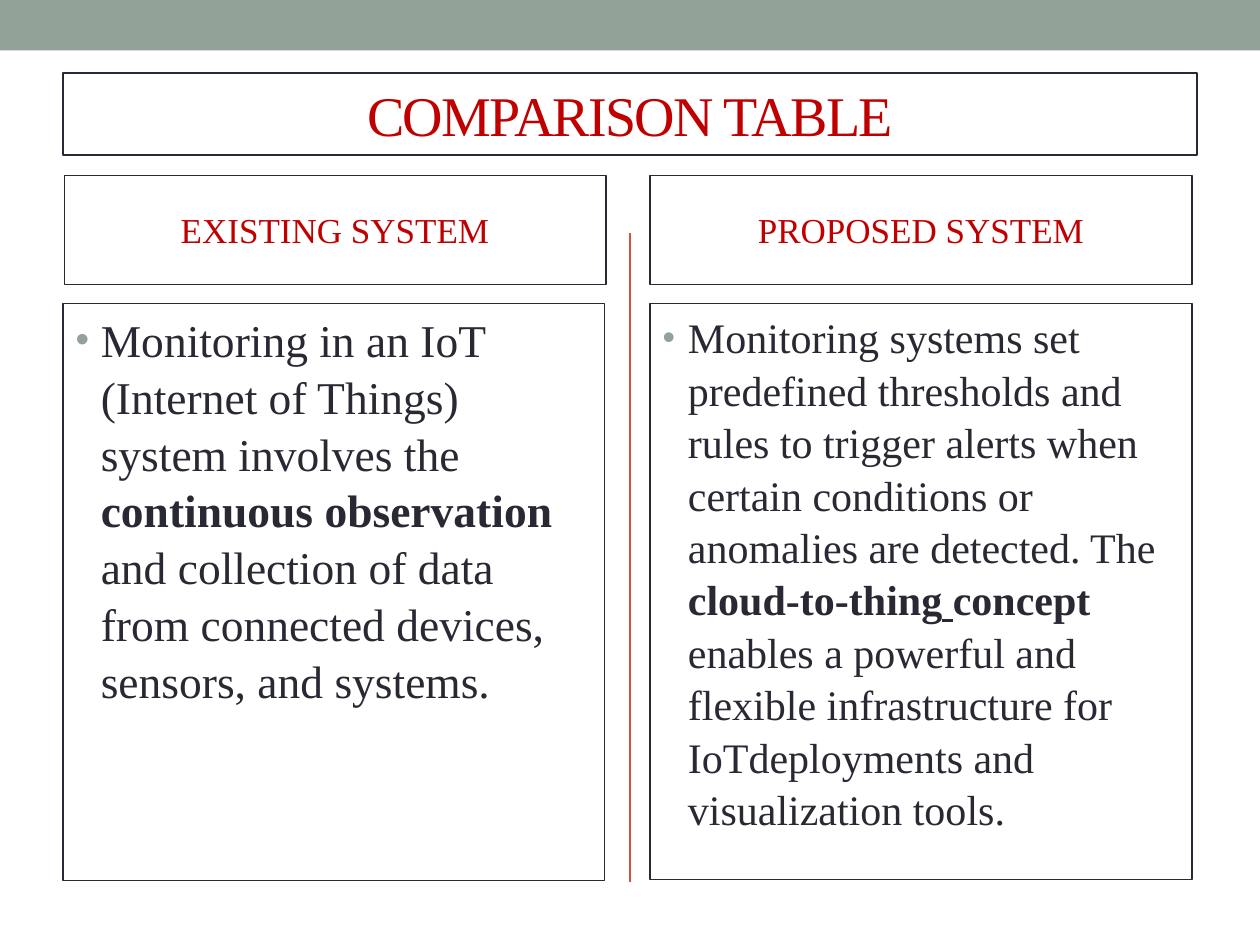
from lxml import etree
from pptx import Presentation
from pptx.dml.color import RGBColor
from pptx.enum.shapes import MSO_CONNECTOR, MSO_SHAPE
from pptx.enum.text import MSO_ANCHOR, MSO_AUTO_SIZE, PP_ALIGN
from pptx.oxml.ns import qn
from pptx.util import Inches, Pt

STRAIGHT, RECT = MSO_CONNECTOR.STRAIGHT, MSO_SHAPE.RECTANGLE
TOP, MIDDLE = MSO_ANCHOR.TOP, MSO_ANCHOR.MIDDLE
LEFT, CENTER = PP_ALIGN.LEFT, PP_ALIGN.CENTER
NO_FIT = MSO_AUTO_SIZE.NONE
SAGE = RGBColor(0x93, 0xA2, 0x99)
RUST = RGBColor(0xD2, 0x53, 0x3C)
INK = RGBColor(0x29, 0x29, 0x34)
RED = RGBColor(0xC0, 0x00, 0x00)
FONT = "Times New Roman"

TITLE = {"size": Pt(32), "color": RED, "anchor": MIDDLE, "align": CENTER}
HEADING = {"size": Pt(20), "color": RED, "anchor": MIDDLE, "align": CENTER}
LEFT_LIST = {"size": Pt(26), "color": INK, "anchor": TOP, "align": LEFT}
RIGHT_LIST = {**LEFT_LIST, "size": Pt(24)}
PLAIN = {"bold": False, "underline": False}
BOLD = {"bold": True, "underline": False}
BOLD_LINE = {"bold": True, "underline": True}
PLAIN_LINE = {"bold": False, "underline": True}

prs = Presentation()
prs.slide_width, prs.slide_height = Inches(10), Inches(7.5)
s = prs.slides.add_slide(prs.slide_layouts[4])

band = s.shapes.add_shape(RECT, 0, 0, prs.slide_width, Inches(0.4))
band.shadow.inherit = False
band.fill.solid()
band.fill.fore_color.rgb = SAGE
band.line.fill.background()

divider = s.shapes.add_connector(STRAIGHT, Inches(5), Inches(1.85), Inches(5), Inches(7))
divider.line.color.rgb = RUST
divider.line.width = Pt(1.5)
etree.SubElement(divider._element.spPr, qn("a:effectLst"))

boxes = [
    (0, (0.5, 0.58, 9, 0.65), TITLE, [("COMPARISON TABLE", PLAIN)]),
    (1, (0.51, 1.39, 4.3, 0.87), HEADING, [("EXISTING SYSTEM", PLAIN)]),
    (2, (0.5, 2.41, 4.3, 4.58), LEFT_LIST, [
        ("Monitoring in an IoT (Internet of Things) system involves the ", PLAIN),
        ("continuous observation ", BOLD),
        ("and collection of data from connected devices, sensors, and systems.", PLAIN),
    ]),
    (3, (5.16, 1.39, 4.3, 0.87), HEADING, [("PROPOSED SYSTEM", PLAIN)]),
    (4, (5.16, 2.41, 4.3, 4.57), RIGHT_LIST, [
        ("Monitoring systems set predefined thresholds and rules to trigger alerts "
         "when certain conditions or anomalies are detected. The", PLAIN),
        (" ", PLAIN_LINE),
        ("cloud-to-thing", BOLD),
        (" ", BOLD_LINE),
        ("concept ", BOLD),
        ("enables a powerful and flexible infrastructure for IoTdeployments "
         "and visualization tools.", PLAIN),
    ]),
]

for idx, place, style, runs in boxes:
    sp = s.placeholders[idx]
    sp.left, sp.top, sp.width, sp.height = map(Inches, place)
    sp.fill.background()
    sp.line.color.rgb = INK
    sp.line.width = Pt(0.75)
    tf = sp.text_frame
    tf.word_wrap = True
    tf.auto_size = NO_FIT
    tf.vertical_anchor = style["anchor"]
    p = tf.paragraphs[0]
    p.alignment = style["align"]
    for text, look in runs:
        r = p.add_run()
        r.text = text
        r.font.name = FONT
        r.font.size = style["size"]
        r.font.color.rgb = style["color"]
        for name, value in look.items():
            setattr(r.font, name, value)
        if style is TITLE:
            r._r.get_or_add_rPr().set("spc", "-100")
    if style["align"] == LEFT:
        p.line_spacing = 1.04
        pPr = p._p.get_or_add_pPr()
        pPr.set("marL", str(Inches(0.2)))
        pPr.set("indent", str(Inches(-0.2)))
        color = etree.SubElement(pPr, qn("a:buClr"))
        etree.SubElement(color, qn("a:srgbClr"), val=str(SAGE))
        etree.SubElement(pPr, qn("a:buSzPct"), val="85000")
        etree.SubElement(pPr, qn("a:buFont"), typeface="Arial")
        etree.SubElement(pPr, qn("a:buChar"), char="•")

prs.save("out.pptx")
